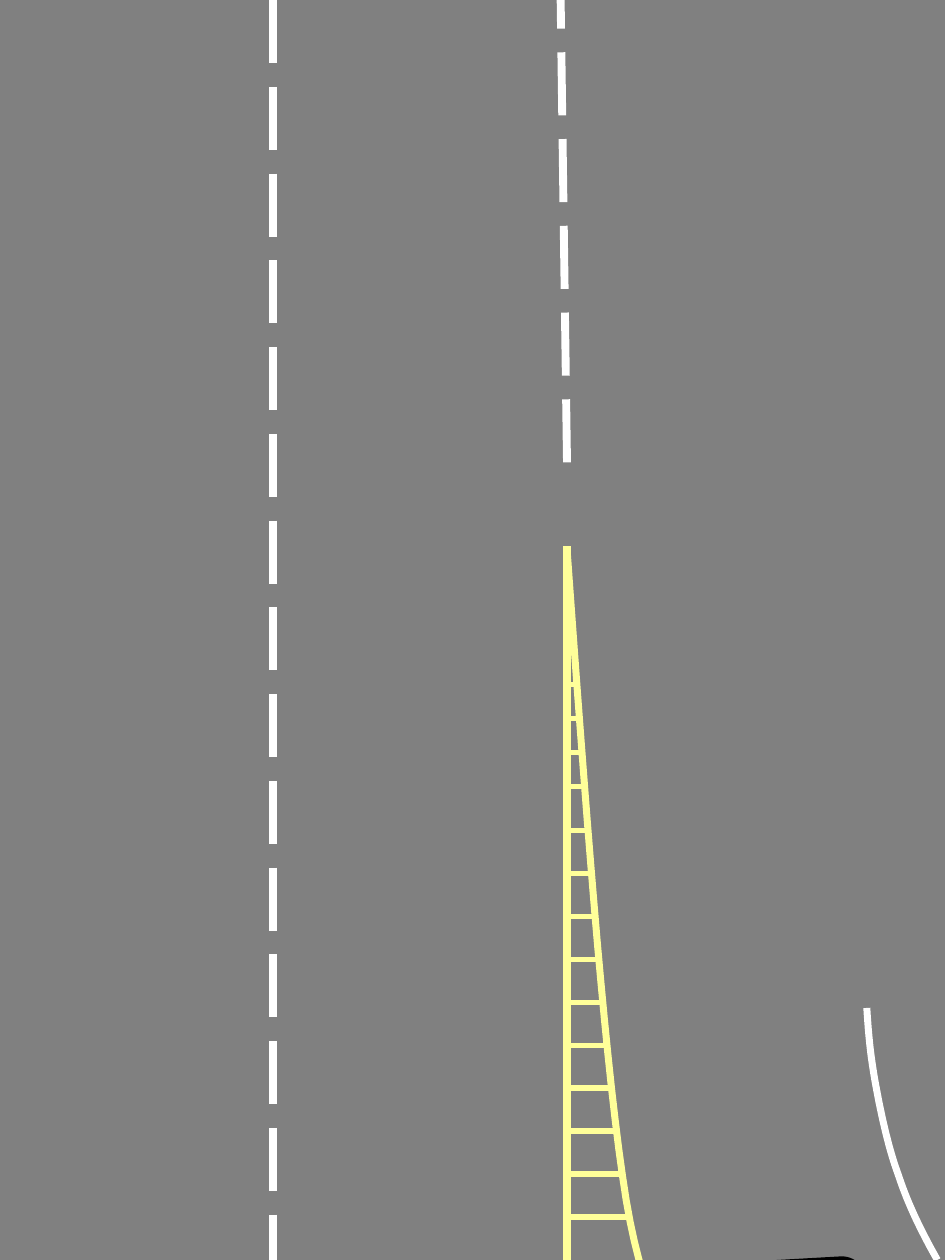
from dataclasses import dataclass

from lxml import etree
from pptx import Presentation
from pptx.dml.color import RGBColor
from pptx.enum.dml import MSO_LINE
from pptx.enum.shapes import MSO_CONNECTOR, MSO_SHAPE
from pptx.oxml.ns import qn
from pptx.util import Inches, Pt

STRAIGHT = MSO_CONNECTOR.STRAIGHT
ROUND = MSO_SHAPE.ROUNDED_RECTANGLE
DASH = MSO_LINE.LONG_DASH
WIDE, HIGH = 7.5, 10
STEPS = 16


@dataclass(frozen=True)
class Theme:
    road: RGBColor = RGBColor(0x80, 0x80, 0x80)
    white: RGBColor = RGBColor(0xFF, 0xFF, 0xFF)
    yellow: RGBColor = RGBColor(0xFF, 0xFF, 0x99)
    black: RGBColor = RGBColor(0, 0, 0)
    lane: float = 4.5
    edge: float = 4
    rung: float = 3
    thin: float = 0.75


THEME = Theme()


@dataclass(frozen=True)
class Box:
    left: float
    top: float
    width: float
    height: float

    def at(self, point):
        """Turn shares of the box into slide lengths."""
        x, y = point
        return (Inches(self.left + x * self.width),
                Inches(self.top + y * self.height))


def stroke(item, color, size):
    item.line.color.rgb = color
    item.line.width = Pt(size)


def add_line(shapes, box, start, end, color, size):
    line = shapes.add_connector(STRAIGHT, *box.at(start), *box.at(end))
    stroke(line, color, size)
    etree.SubElement(line._element.spPr, qn("a:effectLst"))
    return line


def trace(knots):
    """Sample joined cubic curves; each one shares its end with the next."""
    points = [knots[0]]
    for i in range(0, len(knots) - 1, 3):
        a, b, c, d = knots[i:i + 4]
        for step in range(1, STEPS + 1):
            t = step / STEPS
            u = 1 - t
            points.append(tuple(
                u**3 * p + 3 * u * u * t * q + 3 * u * t * t * r + t**3 * s
                for p, q, r, s in zip(a, b, c, d)))
    return points


def add_curve(shapes, box, points, color):
    start, *rest = [box.at(point) for point in points]
    pen = shapes.build_freeform(*start)
    pen.add_line_segments(rest, close=False)
    curve = pen.convert_to_shape()
    curve.fill.background()
    curve.shadow.inherit = False
    stroke(curve, color, THEME.edge)


def cross(points, y):
    """Find where a falling curve meets the height y."""
    for (xa, ya), (xb, yb) in zip(points, points[1:]):
        if ya <= y <= yb:
            return xa + (xb - xa) * (y - ya) / (yb - ya)
    return points[-1][0]


def draw_lane(slide, box, start, end):
    line = add_line(slide.shapes, box, start, end, THEME.white, THEME.lane)
    line.line.dash_style = DASH


def draw_gore(slide, box):
    """Draw the hatched wedge between the main road and the ramp."""
    shapes = slide.shapes.add_group_shape().shapes
    add_line(shapes, box, (0, 0.946), (0, -0.003), THEME.yellow, THEME.lane)
    points = trace([(0, 0), (0.15, 0.3), (0.3, 0.6), (0.47, 0.77),
                    (0.63, 0.935), (0.89, 0.96), (1, 1)])
    add_curve(shapes, box, points, THEME.yellow)
    rungs = [5.43 + 0.27 * i for i in range(4)]
    rungs += [6.59 + 0.341 * i for i in range(10)]
    for rung in rungs:
        y = (rung - box.top) / box.height
        add_line(shapes, box, (0, y), (cross(points, y), y),
                 THEME.yellow, THEME.rung)


def draw_ramp(slide, box):
    points = trace([(1, 1), (0.79, 0.895), (0.59, 0.785), (0.45, 0.665),
                    (0.29, 0.545), (0.18, 0.39), (0.11, 0.28),
                    (0.04, 0.165), (0.02, 0.085), (0, 0)])
    add_curve(slide.shapes, box, points, THEME.white)


def draw_car(slide, box):
    """Draw the dark body whose nose shows at the lower edge."""
    car = slide.shapes.add_shape(ROUND, *box.at((0, 0)),
                                 Inches(box.width), Inches(box.height))
    car.adjustments[0] = 0.167
    car.rotation = 266.8
    car.shadow.inherit = False
    car.fill.solid()
    car.fill.fore_color.rgb = THEME.black
    stroke(car, THEME.black, THEME.thin)


def main():
    deck = Presentation()
    deck.slide_width, deck.slide_height = Inches(WIDE), Inches(HIGH)
    slide = deck.slides.add_slide(deck.slide_layouts[6])
    slide.background.fill.solid()
    slide.background.fill.fore_color.rgb = THEME.road
    road = Box(0, 0, WIDE, HIGH)
    draw_lane(slide, road, (0.289, 0), (0.289, 1))
    draw_gore(slide, Box(4.5, 4.35, 0.94, 6.48))
    draw_ramp(slide, Box(6.88, 8, 0.56, 2))
    draw_lane(slide, road, (0.6, 0.367), (0.593, -0.017))
    draw_car(slide, Box(5.29, 10.54, 2.17, 1.08))
    deck.save("out.pptx")


if __name__ == "__main__":
    main()
